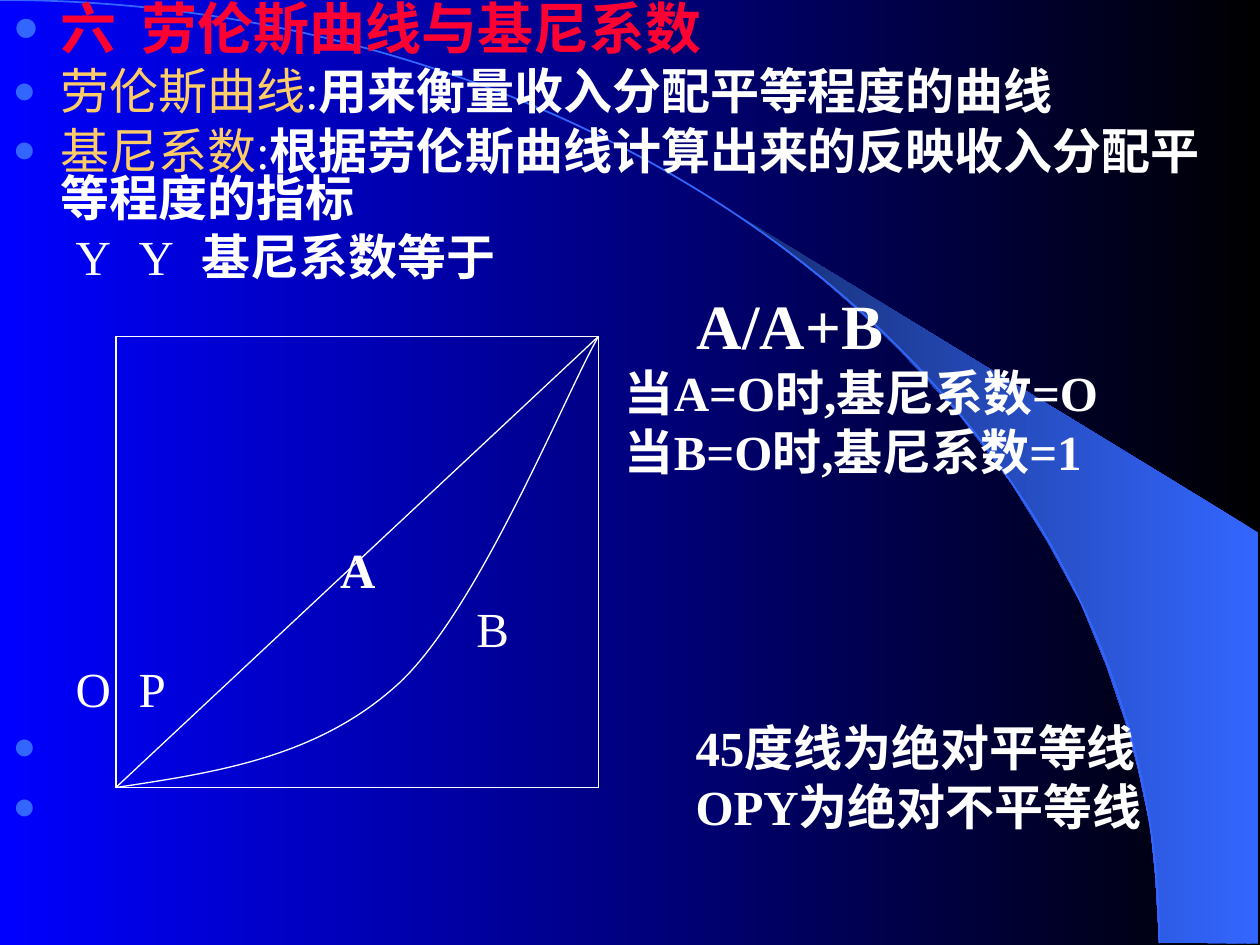
from lxml.etree import SubElement
from pptx import Presentation
from pptx.dml.color import RGBColor
from pptx.enum.shapes import MSO_CONNECTOR, MSO_SHAPE
from pptx.enum.text import MSO_ANCHOR, MSO_AUTO_SIZE, PP_ALIGN
from pptx.oxml.ns import qn
from pptx.util import Inches, Pt

FONT = "Times New Roman"
WHITE, RED, GOLD, BLUE = "FFFFFF", "FF0033", "FFCC66", "3366FF"

HEADING = {"size": 32, "color": RED}
TERM = {"color": GOLD, "bold": False}
PLAIN = {"bold": False}
POINT = {"indent": 0.38, "bullet": True}
CONCLUSION = {"indent": 5.42, "bullet": True}
PARAGRAPHS = [
    (POINT, [("六", HEADING), (" ", {**HEADING, "spacing": 7}), ("劳伦斯曲线与基尼系数", HEADING)]),
    (POINT, [("劳伦斯曲线", TERM), (":", PLAIN), ("用来衡量收入分配平等程度的曲线", {})]),
    (POINT, [("基尼系数", TERM), (":", PLAIN), ("根据劳伦斯曲线计算出来的反映收入分配平等程度的指标", {})]),
    ({"tabs": (0.18, 4.6, 5.64)}, [("\tY\tY\t", PLAIN), ("基尼系数等于", {})]),
    ({"indent": 5.43, "before": 9}, [("A/A+B", {"size": 36})]),
    ({"indent": 4.86}, [("当A=O时,基尼系数=O", {})]),
    ({"indent": 4.86}, [("当B=O时,基尼系数=1", {})]),
    ({"indent": 2.6, "before": 40.5}, [("A", {})]),
    ({"indent": 3.68}, [("B", PLAIN)]),
    ({"tabs": (0.58, 4.84)}, [("\tO\tP", PLAIN)]),
    (CONCLUSION, [("45度线为绝对平等线", {})]),
    (CONCLUSION, [("OPY为绝对不平等线", {})]),
]
LEFT, TOP, RIGHT, BOTTOM = 0.92, 2.67, 4.75, 6.25
CHART_LINES = [
    (LEFT, TOP, LEFT, BOTTOM),
    (LEFT, TOP, RIGHT, TOP),
    (RIGHT, TOP, RIGHT, BOTTOM),
    (LEFT, BOTTOM, RIGHT, BOTTOM),
    (RIGHT, TOP, LEFT, BOTTOM),
]
LORENZ = [
    (LEFT, BOTTOM),
    (1.72, 6.13), (2.53, 6.01), (3.17, 5.42),
    (3.81, 4.82), (4.49, 3.12), (RIGHT, TOP),
]
WEDGE = [
    (9.2, 7.48), (9.99, 7.49), (9.99, 4.23), (5.89, 1.73), (6.24, 1.99), (6.53, 2.22),
    (6.85, 2.5), (7.16, 2.8), (7.62, 3.3), (8.03, 3.84), (8.32, 4.31), (8.58, 4.79),
    (8.78, 5.28), (8.93, 5.72), (9.03, 6.09), (9.13, 6.56), (9.17, 6.96), (9.2, 7.48),
]


def rgb(value):
    return RGBColor.from_string(value)


def gradient(fill, colors):
    fill.gradient()
    fill.gradient_angle = 180
    for stop, color in zip(fill.gradient_stops, colors):
        stop.color.rgb = rgb(color)


def freeform(s, points):
    points = [(Inches(x), Inches(y)) for x, y in points]
    builder = s.shapes.build_freeform(*points[0])
    builder.add_line_segments(points[1:], close=False)
    sp = builder.convert_to_shape()
    sp.shadow.inherit = False
    return sp


def smooth(sp):
    segments = list(sp._element.iter(qn("a:lnTo")))
    for i in range(0, len(segments), 3):
        cubic = SubElement(segments[i].getparent(), qn("a:cubicBezTo"))
        for segment in segments[i:i + 3]:
            cubic.append(segment[0])
            segment.getparent().remove(segment)


def outline(sp, color, width):
    sp.fill.background()
    sp.line.color.rgb = rgb(color)
    sp.line.width = Pt(width)


def line(s, x1, y1, x2, y2):
    sp = s.shapes.add_connector(MSO_CONNECTOR.STRAIGHT, *map(Inches, (x1, y1, x2, y2)))
    sp.line.color.rgb = rgb(WHITE)
    sp.line.width = Pt(0.75)
    SubElement(sp._element.spPr, qn("a:effectLst"))


def paragraph(tf, first, before=7, indent=0, bullet=False, tabs=()):
    p = tf.paragraphs[0] if first else tf.add_paragraph()
    p.alignment = PP_ALIGN.LEFT
    p.line_spacing = 0.8
    p.space_before = Pt(0 if first else before)
    pPr = p._p.get_or_add_pPr()
    pPr.set("marL", str(Inches(indent)))
    pPr.set("indent", str(-Inches(indent) if bullet else 0))
    if bullet:
        color = SubElement(pPr, qn("a:buClr"))
        SubElement(color, qn("a:srgbClr"), val=BLUE)
        SubElement(pPr, qn("a:buSzPct"), val="80000")
        SubElement(pPr, qn("a:buFont"), typeface=FONT)
        SubElement(pPr, qn("a:buChar"), char="●")
    else:
        SubElement(pPr, qn("a:buNone"))
    if tabs:
        tab_list = SubElement(pPr, qn("a:tabLst"))
        for tab in tabs:
            SubElement(tab_list, qn("a:tab"), pos=str(Inches(tab)), algn="l")
    return p


def add_text(p, text, size=28, color=WHITE, bold=True, spacing=0):
    r = p.add_run()
    r.text = text
    r.font.name = FONT
    r.font.size = Pt(size)
    r.font.bold = bold
    r.font.color.rgb = rgb(color)
    if spacing:
        r._r.get_or_add_rPr().set("spc", str(spacing * 100))


def main():
    prs = Presentation()
    prs.slide_width, prs.slide_height = Inches(10), Inches(7.5)
    s = prs.slides.add_slide(prs.slide_layouts[1])
    gradient(s.background.fill, ("000000", "0000FF"))
    title, body = s.placeholders
    title._element.getparent().remove(title._element)

    wedge = freeform(s, WEDGE)
    gradient(wedge.fill, (BLUE, "172F75"))
    wedge.line.fill.background()
    arc = s.shapes.add_shape(MSO_SHAPE.ARC, *map(Inches, (-9.2, 0, 18.4, 14.97)))
    arc.shadow.inherit = False
    outline(arc, BLUE, 1)
    s.shapes._spTree.append(body._element)

    body.left, body.top, body.width, body.height = map(Inches, (0, 0, 10, 7.5))
    tf = body.text_frame
    tf.word_wrap = True
    tf.auto_size = MSO_AUTO_SIZE.NONE
    tf.vertical_anchor = MSO_ANCHOR.TOP
    for i, (layout, runs) in enumerate(PARAGRAPHS):
        p = paragraph(tf, i == 0, **layout)
        for text, options in runs:
            add_text(p, text, **options)

    for ends in CHART_LINES:
        line(s, *ends)
    lorenz = freeform(s, LORENZ)
    smooth(lorenz)
    outline(lorenz, WHITE, 0.75)

    prs.save("out.pptx")


if __name__ == "__main__":
    main()
